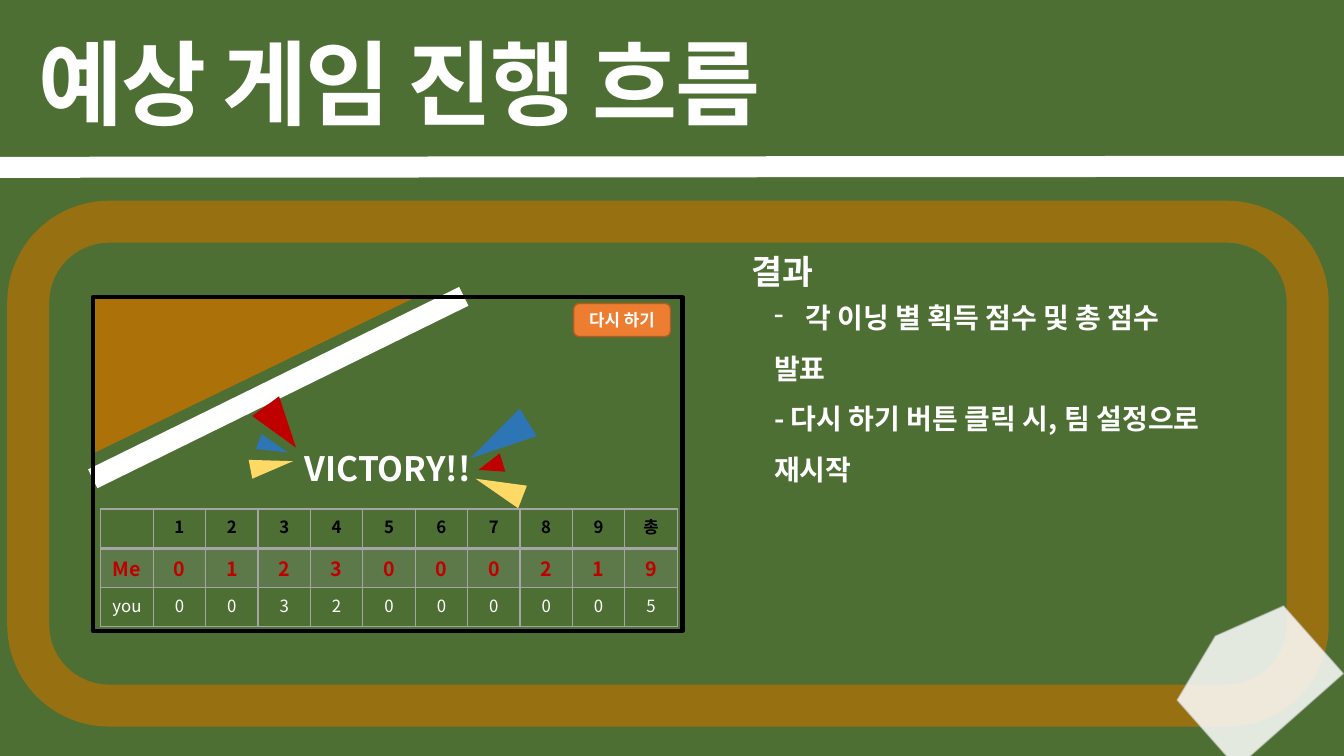
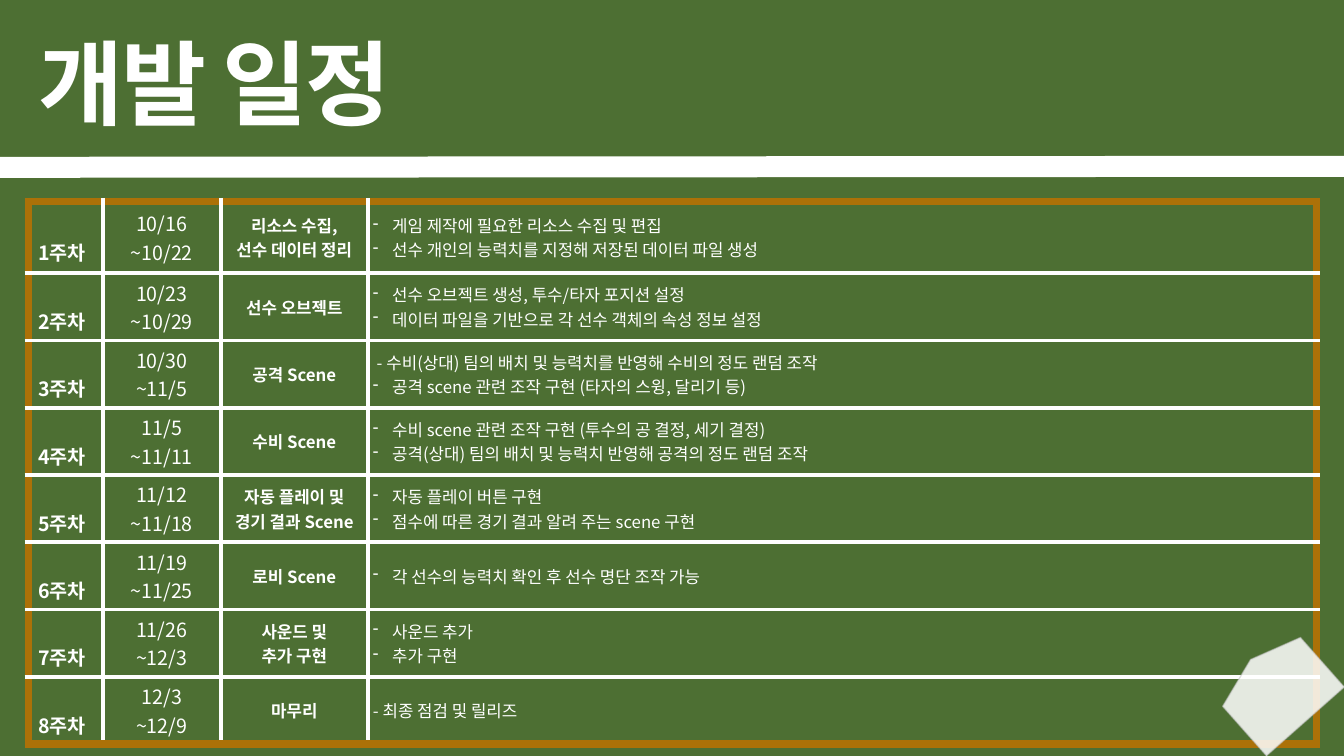
"""Build two slides of a baseball game plan: the result screen and the development schedule."""
from lxml.etree import SubElement
from pptx import Presentation
from pptx.dml.color import RGBColor
from pptx.enum.shapes import MSO_CONNECTOR, MSO_SHAPE
from pptx.enum.text import MSO_ANCHOR, MSO_AUTO_SIZE, PP_ALIGN
from pptx.oxml.ns import qn
from pptx.util import Inches, Pt

GRASS = RGBColor(0x4D, 0x6F, 0x33)
CLAY = RGBColor(0xAC, 0x71, 0x08)
WHITE = RGBColor(0xFF, 0xFF, 0xFF)
BLACK = RGBColor(0x00, 0x00, 0x00)
GRAY = RGBColor(0xA5, 0xA5, 0xA5)
BASE_EDGE = RGBColor(0xBF, 0xBF, 0xBF)
RED = RGBColor(0xC0, 0x00, 0x00)
YELLOW = RGBColor(0xFF, 0xD9, 0x66)
BLUE = RGBColor(0x2E, 0x75, 0xB6)
ORANGE = RGBColor(0xED, 0x7D, 0x31)
ORANGE_EDGE = RGBColor(0xAF, 0x5C, 0x24)

TITLE_FONT = "Arial"
BODY_FONT = "Noto Sans CJK KR"

RESULT_TITLE = "예상 게임 진행 흐름"
RESULT_HEADING = "결과"
RESULT_NOTES = [
    ("각 이닝 별 획득 점수 및 총 점수", True),
    ("발표", False),
    ("- 다시 하기 버튼 클릭 시, 팀 설정으로 재시작", False),
]
VICTORY = "VICTORY!!"
RETRY = "다시 하기"
SCORES = [
    ["", "1", "2", "3", "4", "5", "6", "7", "8", "9", "총"],
    ["Me", "0", "1", "2", "3", "0", "0", "0", "2", "1", "9"],
    ["you", "0", "0", "3", "2", "0", "0", "0", "0", "0", "5"],
]
SCORE_STYLES = [(12, BLACK, True), (14, RED, True), (12, WHITE, False)]
CONFETTI = [
    ((2.62, 3.98, 0.33, 0.51), 143.8, RED),
    ((2.6, 4.4, 0.19, 0.43), 79.2, YELLOW),
    ((2.63, 4.28, 0.16, 0.31), 110.5, BLUE),
    ((4.77, 4.5, 0.19, 0.25), 253.1, RED),
    ((4.83, 4.59, 0.24, 0.5), 291.2, YELLOW),
    ((4.79, 4.03, 0.32, 0.68), 238.1, BLUE),
]

SCHEDULE_TITLE = "개발 일정"
SCHEDULE = [
    (["10/16", "~10/22"], ["리소스 수집,", "선수 데이터 정리"],
     ["게임 제작에 필요한 리소스 수집 및 편집",
      "선수 개인의 능력치를 지정해 저장된 데이터 파일 생성"]),
    (["10/23", "~10/29"], ["선수 오브젝트"],
     ["선수 오브젝트 생성, 투수/타자 포지션 설정",
      "데이터 파일을 기반으로 각 선수 객체의 속성 정보 설정"]),
    (["10/30", "~11/5"], ["공격 Scene"],
     [" - 수비(상대) 팀의 배치 및 능력치를 반영해 수비의 정도 랜덤 조작",
      "공격 scene 관련 조작 구현 (타자의 스윙, 달리기 등)"]),
    (["11/5", "~11/11"], ["수비 Scene"],
     ["수비 scene 관련 조작 구현 (투수의 공 결정, 세기 결정)",
      "공격(상대) 팀의 배치 및 능력치 반영해 공격의 정도 랜덤 조작"]),
    (["11/12", "~11/18"], ["자동 플레이 및", "경기 결과 Scene"],
     ["자동 플레이 버튼 구현", "점수에 따른 경기 결과 알려 주는 scene 구현"]),
    (["11/19", "~11/25"], ["로비 Scene"],
     ["각 선수의 능력치 확인 후 선수 명단 조작 가능"]),
    (["11/26", "~12/3"], ["사운드 및", "추가 구현"],
     ["사운드 추가", "추가 구현"]),
    (["12/3", "~12/9"], ["마무리"],
     ["- 최종 점검 및 릴리즈"]),
]
SCHEDULE_WIDTHS = [0.74, 1.17, 1.46, 9.41]


def write(frame, lines, size, color=WHITE, bold=True, align=PP_ALIGN.LEFT,
          spacing=1.0, hang=0, font_name=BODY_FONT):
    """Fill a text frame with (text, bulleted) lines in one style."""
    for index, (text, bulleted) in enumerate(lines):
        para = frame.paragraphs[0] if index == 0 else frame.add_paragraph()
        para.text = text
        para.alignment = align
        para.line_spacing = spacing
        properties = para._p.get_or_add_pPr()
        if bulleted:
            properties.set("marL", str(Inches(hang)))
            properties.set("indent", str(-Inches(hang)))
            SubElement(properties, qn("a:buChar")).set("char", "-")
        para.font.size = Pt(size)
        para.font.bold = bold
        para.font.color.rgb = color
        para.font.name = font_name
        SubElement(properties.find(qn("a:defRPr")), qn("a:ea")).set("typeface", BODY_FONT)


def plain(*texts):
    """Return lines without bullets."""
    return [(text, False) for text in texts]


def fade(parent, percent):
    """Set the opacity of the solid fill held by an element."""
    color = parent.find(qn("a:solidFill")).find(qn("a:srgbClr"))
    SubElement(color, qn("a:alpha")).set("val", str(percent * 1000))


def add_text(page, place, lines, size, **style):
    """Add a wrapping text box."""
    box = page.shapes.add_textbox(*map(Inches, place))
    box.text_frame.word_wrap = True
    write(box.text_frame, lines, size, **style)


def add_shape(page, kind, place, fill=None, line=None, width=1, rotation=0):
    """Add a flat preset shape."""
    shape = page.shapes.add_shape(kind, *map(Inches, place))
    shape.shadow.inherit = False
    shape.rotation = rotation
    if fill is None:
        shape.fill.background()
    else:
        shape.fill.solid()
        shape.fill.fore_color.rgb = fill
    if line is None:
        shape.line.fill.background()
    else:
        shape.line.color.rgb = line
        shape.line.width = Pt(width)
    return shape


def add_chalk_line(page, start, end):
    """Add a thick white line."""
    line = page.shapes.add_connector(MSO_CONNECTOR.STRAIGHT, *map(Inches, start + end))
    line.line.color.rgb = WHITE
    line.line.width = Pt(15)
    SubElement(line._element.spPr, qn("a:effectLst"))


def add_base(page, place):
    """Add the translucent home base."""
    base = add_shape(page, MSO_SHAPE.FLOWCHART_OFFPAGE_CONNECTOR, place,
                     WHITE, BASE_EDGE, 1, 138.5)
    properties = base._element.spPr
    fade(properties, 85)
    fade(properties.find(qn("a:ln")), 49)


def add_page(deck, title):
    """Add a slide with the shared title and chalk line."""
    page = deck.slides.add_slide(deck.slide_layouts[5])
    box = page.shapes.title
    box.left, box.top, box.width, box.height = map(Inches, (0.28, 0.21, 8.35, 1.21))
    frame = box.text_frame
    frame.word_wrap = False
    frame.auto_size = MSO_AUTO_SIZE.NONE
    frame.vertical_anchor = MSO_ANCHOR.TOP
    write(frame, plain(title), 66, font_name=TITLE_FONT)
    frame.paragraphs[0]._p.pPr.find(qn("a:defRPr")).set("spc", "-150")
    add_chalk_line(page, (0, 1.66), (13.33, 1.65))
    return page


def add_table(page, place, widths, heights):
    """Add an unbanded table with the given column widths and row heights."""
    size = (sum(widths), sum(heights))
    frame = page.shapes.add_table(len(heights), len(widths), *map(Inches, place + size))
    table = frame.table
    table.first_row = table.horz_banding = False
    for column, width in zip(table.columns, widths):
        column.width = Inches(width)
    for row, height in zip(table.rows, heights):
        row.height = Inches(height)
    return table


def set_borders(cell, left, right, top, bottom):
    """Draw the four sides of a cell, each a (colour, points) pair."""
    properties = cell._tc.get_or_add_tcPr()
    sides = zip(("a:lnL", "a:lnR", "a:lnT", "a:lnB"), (left, right, top, bottom))
    for index, (tag, (color, width)) in enumerate(sides):
        line = SubElement(properties, qn(tag))
        line.set("w", str(Pt(width)))
        fill = SubElement(line, qn("a:solidFill"))
        SubElement(fill, qn("a:srgbClr")).set("val", str(color))
        properties.insert(index, line)


def add_scoreboard(page):
    """Add the inning scores."""
    table = add_table(page, (1, 5.05), [0.52] * 11, [0.39] * 3)
    thin, thick = (GRAY, 1), (GRAY, 2)
    for row, (scores, (size, color, bold)) in enumerate(zip(SCORES, SCORE_STYLES)):
        for column, score in enumerate(scores):
            cell = table.cell(row, column)
            write(cell.text_frame, plain(score), size, color, bold, PP_ALIGN.CENTER)
            if row == 1:
                cell.fill.solid()
                cell.fill.fore_color.rgb = GRAY
                fade(cell._tc.tcPr, 20)
            else:
                cell.fill.background()
            set_borders(cell, thin, thin, thick if row == 1 else thin,
                        thick if row == 0 else thin)


def add_result_page(deck):
    """Add the slide with the result screen."""
    page = add_page(deck, RESULT_TITLE)
    track = add_shape(page, MSO_SHAPE.ROUNDED_RECTANGLE, (0.28, 2.2, 12.69, 4.8),
                      GRASS, CLAY, 30)
    fade(track._element.spPr.find(qn("a:ln")), 78)
    add_base(page, (11.72, 6.17, 1.41, 1.12))
    add_text(page, (7.36, 2.44, 1, 0.5), plain(RESULT_HEADING), 24)
    add_text(page, (7.58, 2.77, 4.82, 2.12), RESULT_NOTES, 20, spacing=1.5, hang=0.31)
    add_text(page, (2.36, 4.39, 2.97, 0.5), plain(VICTORY), 24, align=PP_ALIGN.CENTER)
    add_scoreboard(page)
    add_shape(page, MSO_SHAPE.RIGHT_TRIANGLE, (1.75, 2.11, 1.56, 3.22), CLAY, rotation=90)
    add_chalk_line(page, (0.92, 4.75), (4.6, 2.94))
    add_shape(page, MSO_SHAPE.RECTANGLE, (0.92, 2.95, 5.85, 3.31), None, BLACK, 3)
    for place, rotation, color in CONFETTI:
        add_shape(page, MSO_SHAPE.ISOSCELES_TRIANGLE, place, color, rotation=rotation)
    button = add_shape(page, MSO_SHAPE.ROUNDED_RECTANGLE, (5.69, 3.01, 0.96, 0.33),
                       ORANGE, ORANGE_EDGE)
    button.text_frame.vertical_anchor = MSO_ANCHOR.MIDDLE
    write(button.text_frame, plain(RETRY), 12, align=PP_ALIGN.CENTER)


def add_schedule_page(deck):
    """Add the slide with the weekly schedule."""
    page = add_page(deck, SCHEDULE_TITLE)
    last_row, last_column = len(SCHEDULE) - 1, len(SCHEDULE_WIDTHS) - 1
    table = add_table(page, (0.28, 2), SCHEDULE_WIDTHS, [0.71] + [0.66] * last_row)
    outer, inner = (CLAY, 6), (WHITE, 3)
    for row, (dates, topics, details) in enumerate(SCHEDULE):
        cells = [table.cell(row, column) for column in range(last_column + 1)]
        week_cell, date_cell, topic_cell, detail_cell = cells
        write(week_cell.text_frame, plain(f"{row + 1}주차"), 14,
              align=PP_ALIGN.JUSTIFY, spacing=2.0)
        write(date_cell.text_frame, plain(*dates), 14, bold=False, align=PP_ALIGN.CENTER)
        write(topic_cell.text_frame, plain(*topics), 12, align=PP_ALIGN.CENTER)
        lines = [(text, not text.lstrip().startswith("-")) for text in details]
        write(detail_cell.text_frame, lines, 12, bold=False, hang=0.19)
        detail_cell.margin_left = detail_cell.margin_right = Inches(0.05)
        for column, cell in enumerate(cells):
            cell.vertical_anchor = MSO_ANCHOR.MIDDLE
            cell.fill.solid()
            cell.fill.fore_color.rgb = GRASS
            set_borders(cell,
                        outer if column == 0 else inner,
                        outer if column == last_column else inner,
                        outer if row == 0 else inner,
                        outer if row == last_row else inner)
    add_base(page, (12.16, 6.44, 1.03, 0.82))


def main():
    """Build and save the deck."""
    deck = Presentation()
    deck.slide_width, deck.slide_height = Inches(13.33), Inches(7.5)
    background = deck.slide_master.background.fill
    background.solid()
    background.fore_color.rgb = GRASS
    add_result_page(deck)
    add_schedule_page(deck)
    deck.save("out.pptx")


if __name__ == "__main__":
    main()
